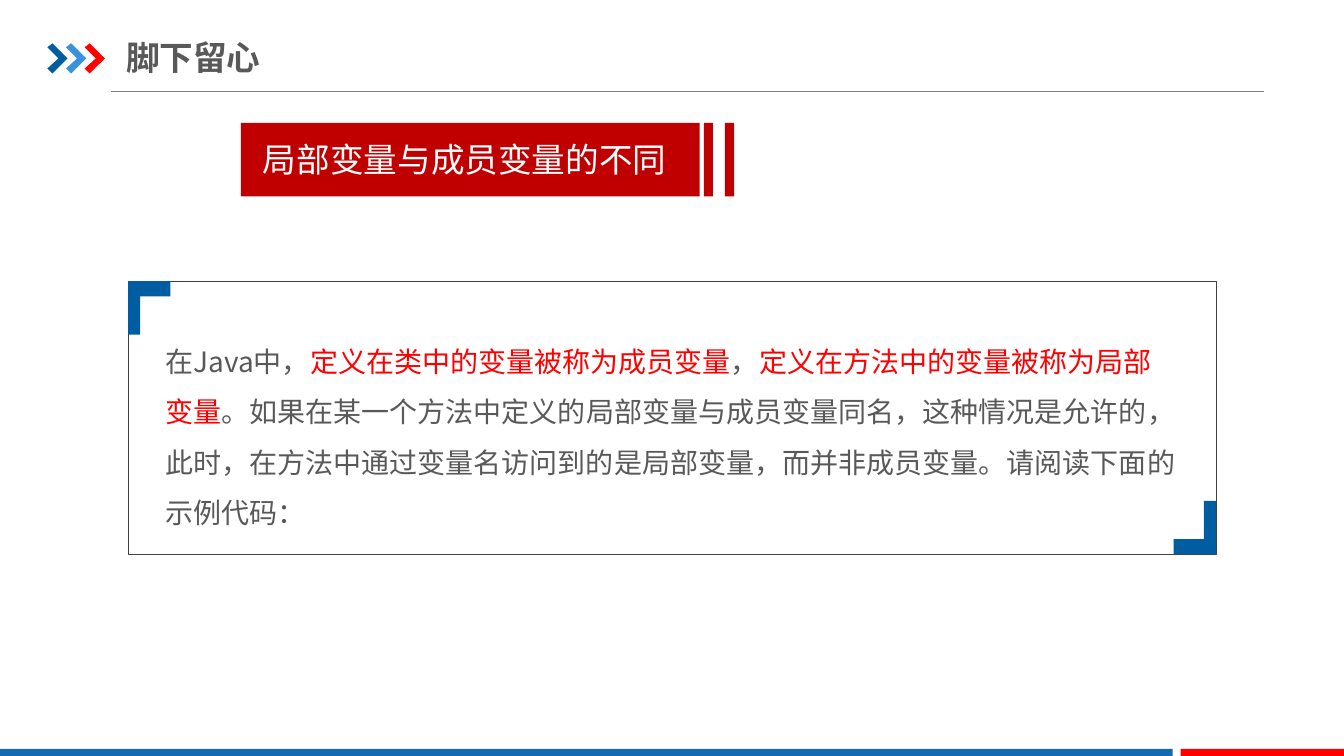
"""Build the slide on local variables and member variables."""
from lxml import etree
from pptx import Presentation
from pptx.dml.color import RGBColor
from pptx.enum.shapes import MSO_CONNECTOR, MSO_SHAPE
from pptx.enum.text import MSO_ANCHOR, MSO_AUTO_SIZE, PP_ALIGN
from pptx.oxml.ns import qn
from pptx.util import Inches, Pt

BLUE = RGBColor(0x00, 0x5D, 0xA2)
LIGHT_BLUE = RGBColor(0x39, 0x92, 0xDB)
BAR_BLUE = RGBColor(0x13, 0x69, 0xB2)
RED = RGBColor(0xFF, 0x00, 0x00)
DARK_RED = RGBColor(0xC0, 0x00, 0x00)
GRAY = RGBColor(0x80, 0x80, 0x80)
FRAME_GRAY = RGBColor(0x40, 0x40, 0x40)
TEXT_GRAY = RGBColor(0x59, 0x59, 0x59)
WHITE = RGBColor(0xFF, 0xFF, 0xFF)
CJK_FONT = "Noto Sans CJK SC"
RECTANGLE = MSO_SHAPE.RECTANGLE
STRAIGHT = MSO_CONNECTOR.STRAIGHT
MIDDLE = MSO_ANCHOR.MIDDLE
NO_AUTOFIT = MSO_AUTO_SIZE.NONE
LEFT = PP_ALIGN.LEFT
JUSTIFY = PP_ALIGN.JUSTIFY


def add_span(para, text, size, color, font=CJK_FONT, bold=False):
    span = para.add_run()
    span.text = text
    span.font.size = Pt(size)
    span.font.bold = bold
    span.font.color.rgb = color
    span.font.name = font
    east_asian = etree.SubElement(span.font._element, qn("a:ea"))
    east_asian.set("typeface", CJK_FONT)


def paint(shape, color):
    shape.shadow.inherit = False
    shape.fill.solid()
    shape.fill.fore_color.rgb = color
    shape.line.fill.background()


deck = Presentation()
deck.slide_width = Inches(13.33)
deck.slide_height = Inches(7.5)
page = deck.slides.add_slide(deck.slide_layouts[5])
shapes = page.shapes

title = shapes.title
title.left, title.top = Inches(1.25), Inches(0.29)
title.width, title.height = Inches(4.26), Inches(0.55)
title_frame = title.text_frame
title_frame.auto_size = NO_AUTOFIT
title_frame.vertical_anchor = MIDDLE
title_frame.margin_left = title_frame.margin_right = 0
title_frame.margin_top = title_frame.margin_bottom = Inches(0.07)
title_para = title_frame.paragraphs[0]
title_para.alignment = LEFT
add_span(title_para, "脚下留心", 24, TEXT_GRAY, bold=True)

title_rule = shapes.add_connector(
    STRAIGHT, Inches(1.1), Inches(0.91), Inches(12.54), Inches(0.91))
title_rule.line.color.rgb = GRAY
title_rule.line.width = Pt(0.75)
etree.SubElement(title_rule._element.spPr, qn("a:effectLst"))

bars = [
    (0, 7.43, 11.63, 0.07, BAR_BLUE),
    (11.71, 7.43, 1.62, 0.07, RED),
    (2.39, 1.22, 4.55, 0.73, DARK_RED),
    (6.98, 1.22, 0.09, 0.73, DARK_RED),
    (7.19, 1.22, 0.09, 0.73, DARK_RED),
]
for left, top, width, height, color in bars:
    bar = shapes.add_shape(
        RECTANGLE, Inches(left), Inches(top), Inches(width), Inches(height))
    paint(bar, color)

heading = shapes.add_shape(
    RECTANGLE, Inches(2.51), Inches(1.33), Inches(4.32), Inches(0.5))
paint(heading, DARK_RED)
heading_para = heading.text_frame.paragraphs[0]
heading_para.alignment = JUSTIFY
add_span(heading_para, "局部变量与成员变量的不同", 24, WHITE, font="Arial")

body = shapes.add_textbox(
    Inches(1.54), Inches(3.2), Inches(10.25), Inches(2.12))
body.text_frame.word_wrap = True
body_para = body.text_frame.paragraphs[0]
body_para.line_spacing = 1.5
body_spans = [
    ("在Java中，", TEXT_GRAY),
    ("定义在类中的变量被称为成员变量", RED),
    ("，", TEXT_GRAY),
    ("定义在方法中的变量被称为局部变量", RED),
    ("。如果在某一个方法中定义的局部变量与成员变量同名，这种情况是允许的，"
     "此时，在方法中通过变量名访问到的是局部变量，而并非成员变量。"
     "请阅读下面的示例代码：", TEXT_GRAY),
]
for text, color in body_spans:
    add_span(body_para, text, 20, color)

frame = shapes.add_shape(
    RECTANGLE, Inches(1.27), Inches(2.79), Inches(10.79), Inches(2.71))
frame.shadow.inherit = False
frame.fill.background()
frame.line.color.rgb = FRAME_GRAY
frame.line.width = Pt(0.25)

chevron = [(0, 0.04), (0.05, 0), (0.2, 0.15), (0.05, 0.3), (0, 0.25), (0.11, 0.15)]
corner = [(0, 0), (0.42, 0), (0.42, 0.15), (0.12, 0.15), (0.12, 0.53), (0, 0.53)]
outlines = [
    (chevron, 0.47, 0.43, 1, BLUE),
    (chevron, 0.655, 0.43, 1, LIGHT_BLUE),
    (chevron, 0.84, 0.43, 1, RED),
    (corner, 1.27, 2.79, 1, BLUE),
    (corner, 12.06, 5.5, -1, BLUE),
]
for outline, left, top, direction, color in outlines:
    points = [(Inches(left + direction * x), Inches(top + direction * y))
              for x, y in outline]
    builder = shapes.build_freeform(*points[0])
    builder.add_line_segments(points[1:], close=True)
    paint(builder.convert_to_shape(), color)

deck.save("out.pptx")
